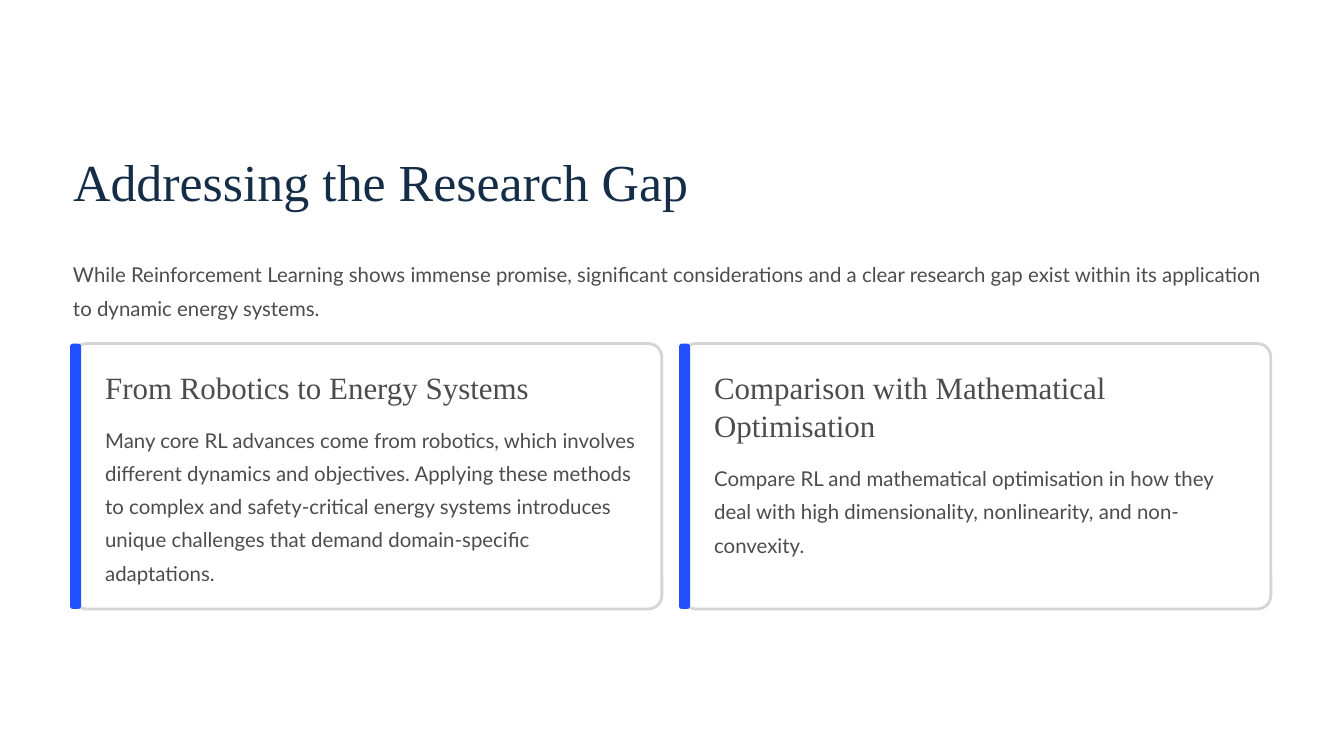
from pptx import Presentation
from pptx.dml.color import RGBColor
from pptx.enum.shapes import MSO_SHAPE
from pptx.enum.text import MSO_ANCHOR, MSO_AUTO_SIZE, PP_ALIGN
from pptx.util import Pt

ROUND = MSO_SHAPE.ROUNDED_RECTANGLE
TOP = MSO_ANCHOR.TOP
FIXED = MSO_AUTO_SIZE.NONE
LEFT = PP_ALIGN.LEFT

WHITE = RGBColor(0xFF, 0xFF, 0xFF)
NAVY = RGBColor(0x15, 0x2D, 0x47)
GREY = RGBColor(0x4C, 0x4C, 0x4D)
RULE = RGBColor(0xD8, 0xD4, 0xD4)
BLUE = RGBColor(0x21, 0x50, 0xFE)

SERIF = "Times New Roman"
SANS = "Lato"
EDGE = 62.6
CARD_TOP = 294.5
CARD_HIGH = 227.5
PITCH = 522
HEAD_LINE = 33

CARDS = [
    ("From Robotics to Energy Systems", 1,
     "Many core RL advances come from robotics, which involves different "
     "dynamics and objectives. Applying these methods to complex and "
     "safety-critical energy systems introduces unique challenges that "
     "demand domain-specific adaptations."),
    ("Comparison with Mathematical Optimisation", 2,
     "Compare RL and mathematical optimisation in how they deal with high "
     "dimensionality, nonlinearity, and non-convexity."),
]


def set_text(shape, text, face, size, color, line):
    frame = shape.text_frame
    frame.margin_left = frame.margin_right = 0
    frame.margin_top = frame.margin_bottom = 0
    frame.word_wrap = True
    frame.auto_size = FIXED
    frame.vertical_anchor = TOP
    para = frame.paragraphs[0]
    para.alignment = LEFT
    para.line_spacing = Pt(line)
    run = para.add_run()
    run.text = text
    run.font.name = face
    run.font.size = Pt(size)
    run.font.color.rgb = color


def add_title(slide, text):
    title = slide.shapes.title
    title.left, title.top = Pt(EDGE), Pt(126)
    title.width, title.height = Pt(1027), Pt(56)
    set_text(title, text, SERIF, 44.5, NAVY, 55.5)


def add_head(slide, text, x, y, wide, high):
    box = slide.shapes.add_textbox(Pt(x), Pt(y), Pt(wide), Pt(high))
    set_text(box, text, SERIF, 26.5, GREY, HEAD_LINE)


def add_body(slide, text, x, y, wide, high):
    box = slide.shapes.add_textbox(Pt(x), Pt(y), Pt(wide), Pt(high))
    set_text(box, text, SANS, 17.5, GREY, 28.5)


def add_panel(slide, x, wide, bend, fill):
    panel = slide.shapes.add_shape(
        ROUND, Pt(x), Pt(CARD_TOP), Pt(wide), Pt(CARD_HIGH))
    panel.adjustments[0] = bend
    panel.shadow.inherit = False
    panel.fill.solid()
    panel.fill.fore_color.rgb = fill
    panel.line.fill.background()
    return panel


def add_card(slide, x, head, lines, body):
    panel = add_panel(slide, x, 504.7, 0.051, WHITE)
    panel.line.color.rgb = RULE
    panel.line.width = Pt(2.4)
    add_panel(slide, x - 2.6, 9.5, 0.279, BLUE)
    head_top = CARD_TOP + 20.1
    head_high = HEAD_LINE * lines
    body_top = head_top + head_high + 11.6
    add_head(slide, head, x + 27.5, head_top, 457.2, head_high)
    add_body(slide, body, x + 27.5, body_top, 457.2,
             CARD_TOP + CARD_HIGH - 20 - body_top)


def main():
    deck = Presentation()
    deck.slide_width, deck.slide_height = Pt(1152), Pt(648)
    slide = deck.slides.add_slide(deck.slide_layouts[5])
    slide.background.fill.solid()
    slide.background.fill.fore_color.rgb = WHITE
    add_title(slide, "Addressing the Research Gap")
    add_body(slide,
             "While Reinforcement Learning shows immense promise, significant "
             "considerations and a clear research gap exist within its "
             "application to dynamic energy systems.",
             EDGE, 217.5, 1027, 57)
    for index, card in enumerate(CARDS):
        add_card(slide, EDGE + PITCH * index, *card)
    deck.save("out.pptx")


if __name__ == "__main__":
    main()
